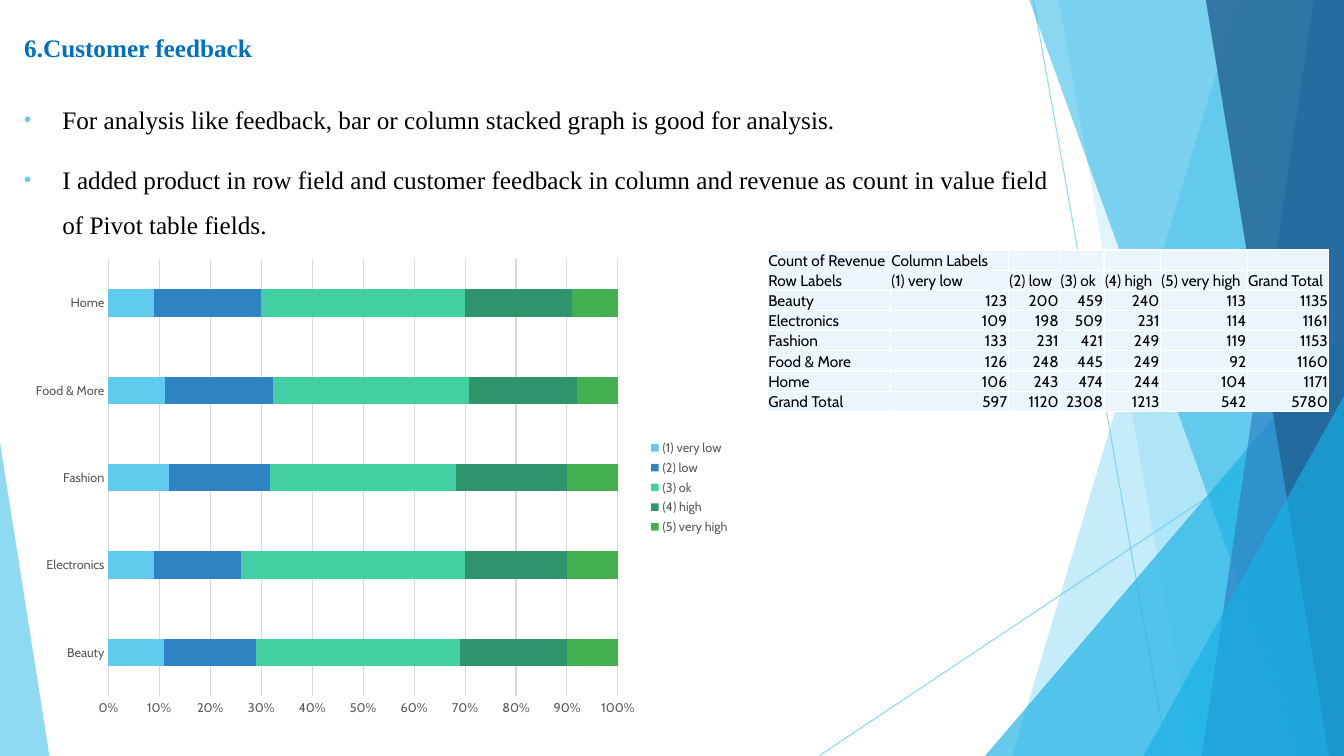
import pptx
import pptx.chart.data
import pptx.dml.color
import pptx.enum.chart
import pptx.enum.shapes
import pptx.enum.text
import pptx.oxml.ns
import pptx.util
from lxml import etree

COLORS = {
    "sky": "5FCBEF", "cyan": "17B0E4", "blue": "2E83C3", "navy": "226292",
    "mint": "42D0A2", "pine": "2E946B", "green": "42B051",
    "heading": "0070C0", "text": "000000", "label": "595959",
    "grid": "D9D9D9", "cell": "EAF6FC", "border": "FFFFFF",
}
SERIF, SANS = "Times New Roman", "Cabin"
qn = pptx.oxml.ns.qn


class FeedbackSlide:
    """Draws elements on one slide, with lengths in percent of its width and height."""

    def __init__(self, deck):
        self.deck = deck
        self.page = deck.slides.add_slide(deck.slide_layouts[5])

    def x(self, share):
        return round(self.deck.slide_width * share / 100)

    def y(self, share):
        return round(self.deck.slide_height * share / 100)

    def frame(self, left, top, width, height):
        return self.x(left), self.y(top), self.x(width), self.y(height)

    def rgb(self, color):
        return pptx.dml.color.RGBColor.from_string(COLORS[color])

    def tint(self, fill, color, opacity=100):
        fill.solid()
        fill.fore_color.rgb = self.rgb(color)
        if opacity < 100:
            for node in fill._xPr.iter(qn("a:srgbClr")):
                etree.SubElement(node, qn("a:alpha"), val=str(opacity * 1000))

    def font(self, font, name, size, color, bold=False):
        font.name, font.size, font.bold = name, pptx.util.Pt(size), bold
        font.color.rgb = self.rgb(color)

    def finish(self, shape, color, opacity):
        shape.shadow.inherit = False
        shape.line.fill.background()
        self.tint(shape.fill, color, opacity)

    def line(self, start, end, color, opacity):
        line = self.page.shapes.add_connector(
            pptx.enum.shapes.MSO_CONNECTOR.STRAIGHT,
            self.x(start[0]), self.y(start[1]), self.x(end[0]), self.y(end[1]))
        line.line.width = pptx.util.Pt(0.75)
        self.tint(line.line.fill, color, opacity)
        etree.SubElement(line._element.spPr, qn("a:effectLst"))

    def ribbon(self, top_left, bottom_left, color, opacity):
        builder = self.page.shapes.build_freeform(self.x(top_left), 0)
        corners = [(100, 0), (100, 100), (bottom_left, 100)]
        builder.add_line_segments([(self.x(x), self.y(y)) for x, y in corners])
        self.finish(builder.convert_to_shape(), color, opacity)

    def triangle(self, place, apex, color, opacity):
        shape = self.page.shapes.add_shape(
            pptx.enum.shapes.MSO_SHAPE.ISOSCELES_TRIANGLE, *self.frame(*place))
        shape.adjustments[0] = apex
        self.finish(shape, color, opacity)

    def add_span(self, para, words, *style):
        span = para.add_run()
        span.text = words
        self.font(span.font, *style)

    def title(self, place, words):
        box = self.page.shapes.title
        box.left, box.top, box.width, box.height = self.frame(*place)
        box.text_frame.vertical_anchor = pptx.enum.text.MSO_ANCHOR.TOP
        para = box.text_frame.paragraphs[0]
        para.alignment = pptx.enum.text.PP_ALIGN.LEFT
        para.line_spacing = 1.5
        para.space_before = pptx.util.Pt(0)
        self.add_span(para, words, SERIF, 18, "heading", True)

    def bullets(self, place, points):
        box = self.page.shapes.add_textbox(*self.frame(*place))
        box.text_frame.word_wrap = True
        for index, words in enumerate(points):
            para = box.text_frame.add_paragraph() if index else box.text_frame.paragraphs[0]
            props = para._p.get_or_add_pPr()
            hang = self.x(2.85)
            props.set("marL", str(hang))
            props.set("indent", str(-hang))
            color = etree.SubElement(props, qn("a:buClr"))
            etree.SubElement(color, qn("a:srgbClr"), val=COLORS["sky"])
            etree.SubElement(props, qn("a:buSzPct"), val="80000")
            etree.SubElement(props, qn("a:buFont"), typeface="Arial")
            etree.SubElement(props, qn("a:buChar"), char="•")
            para.line_spacing = 1.5
            para.space_before = pptx.util.Pt(10 if index else 0)
            self.add_span(para, words, SERIF, 18, "text")

    def cell(self, cell, words):
        cell.vertical_anchor = pptx.enum.text.MSO_ANCHOR.BOTTOM
        cell.margin_left = cell.margin_right = cell.margin_top = pptx.util.Inches(0.01)
        cell.margin_bottom = 0
        for side in ("a:lnL", "a:lnR", "a:lnT", "a:lnB"):
            edge = etree.SubElement(cell._tc.get_or_add_tcPr(), qn(side), w="12700")
            paint = etree.SubElement(edge, qn("a:solidFill"))
            etree.SubElement(paint, qn("a:srgbClr"), val=COLORS["border"])
        self.tint(cell.fill, "cell")
        para = cell.text_frame.paragraphs[0]
        if isinstance(words, int):
            para.alignment = pptx.enum.text.PP_ALIGN.RIGHT
        if words == "":
            etree.SubElement(para._p, qn("a:endParaRPr"), sz="1100")
        else:
            self.add_span(para, str(words), SANS, 11, "text")

    def table(self, left, top, widths, height, rows):
        place = self.frame(left, top, sum(widths), height * len(rows))
        table = self.page.shapes.add_table(len(rows), len(widths), *place).table
        table.first_row = table.horz_banding = False
        for column, width in zip(table.columns, widths):
            column.width = self.x(width)
        for row, values in zip(table.rows, rows):
            row.height = self.y(height)
            for cell, words in zip(row.cells, values):
                self.cell(cell, words)

    def chart(self, place, categories, series):
        data = pptx.chart.data.CategoryChartData()
        data.categories = categories
        for name, color, values in series:
            data.add_series(name, values)
        kinds = pptx.enum.chart
        chart = self.page.shapes.add_chart(
            kinds.XL_CHART_TYPE.BAR_STACKED_100, *self.frame(*place), data).chart
        self.font(chart.font, SANS, 10, "text")
        chart.has_title = False
        chart.has_legend = True
        chart.legend.position = kinds.XL_LEGEND_POSITION.RIGHT
        chart.legend.include_in_layout = False
        self.font(chart.legend.font, SANS, 9, "label")
        plot = chart.plots[0]
        plot.gap_width, plot.overlap, plot.vary_by_categories = 219, 100, False
        for bars, (name, color, values) in zip(plot.series, series):
            self.tint(bars.format.fill, color)
        for axis in (chart.category_axis, chart.value_axis):
            axis.major_tick_mark = axis.minor_tick_mark = kinds.XL_TICK_MARK.NONE
            self.font(axis.tick_labels.font, SANS, 9, "label")
        chart.value_axis.tick_labels.number_format = "0%"
        chart.value_axis.tick_labels.number_format_is_linked = False
        chart.value_axis.format.line.fill.background()
        for owner in (chart.category_axis, chart.value_axis.major_gridlines):
            owner.format.line.width = pptx.util.Pt(0.75)
            self.tint(owner.format.line.fill, "grid")
        area = chart._chartSpace.chart.plotArea
        layout = area.find(qn("c:layout"))
        if layout is None:
            layout = etree.Element(qn("c:layout"))
            area.insert(0, layout)
        manual = etree.SubElement(layout, qn("c:manualLayout"))
        settings = {"layoutTarget": "inner", "xMode": "edge", "yMode": "edge",
                    "x": "0.12", "y": "0.02", "w": "0.71", "h": "0.92"}
        for tag, value in settings.items():
            etree.SubElement(manual, qn("c:" + tag), val=value)


def main():
    deck = pptx.Presentation()
    deck.slide_width, deck.slide_height = pptx.util.Inches(13.33), pptx.util.Inches(7.5)
    slide = FeedbackSlide(deck)

    slide.line((76.89, 0), (86.87, 100), "sky", 70)
    slide.line((100, 53.73), (60.92, 100), "sky", 70)
    slide.ribbon(92.12, 75.32, "sky", 36)
    slide.ribbon(78.77, 88.75, "sky", 20)
    slide.triangle((73.29, 44.4, 26.71, 55.6), 1, "cyan", 66)
    slide.ribbon(76.59, 96.85, "cyan", 50)
    slide.ribbon(97.75, 89.42, "blue", 70)
    slide.ribbon(89.72, 98.87, "navy", 80)
    slide.triangle((85.07, 52.4, 14.93, 47.6), 1, "cyan", 66)
    slide.triangle((0, 58.53, 3.68, 41.47), 0, "sky", 70)

    slide.title((1.05, 1.6, 72, 8), "6.Customer feedback")
    slide.bullets((1.05, 11.2, 78.47, 21.5), [
        "For analysis like feedback, bar or column stacked graph is good for analysis.",
        "I added product in row field and customer feedback in column and revenue "
        "as count in value field of Pivot table fields.",
    ])

    ratings = ["(1) very low", "(2) low", "(3) ok", "(4) high", "(5) very high"]
    products = ["Beauty", "Electronics", "Fashion", "Food & More", "Home"]
    slide.table(57.09, 33.07, [9.15, 8.78, 3.83, 3.3, 4.2, 6.45, 6.08], 2.67, [
        ["Count of Revenue", "Column Labels", "", "", "", "", ""],
        ["Row Labels", *ratings, "Grand Total"],
        [products[0], 123, 200, 459, 240, 113, 1135],
        [products[1], 109, 198, 509, 231, 114, 1161],
        [products[2], 133, 231, 421, 249, 119, 1153],
        [products[3], 126, 248, 445, 249, 92, 1160],
        [products[4], 106, 243, 474, 244, 104, 1171],
        ["Grand Total", 597, 1120, 2308, 1213, 542, 5780],
    ])
    shares = [[11, 9, 12, 11, 9], [18, 17, 20, 21, 21], [40, 44, 37, 38, 40],
              [21, 20, 22, 21, 21], [10, 10, 10, 8, 9]]
    hues = ["sky", "blue", "mint", "pine", "green"]
    slide.chart((1.65, 33.07, 53.41, 62.8), products, list(zip(ratings, hues, shares)))
    deck.save("out.pptx")


if __name__ == "__main__":
    main()
